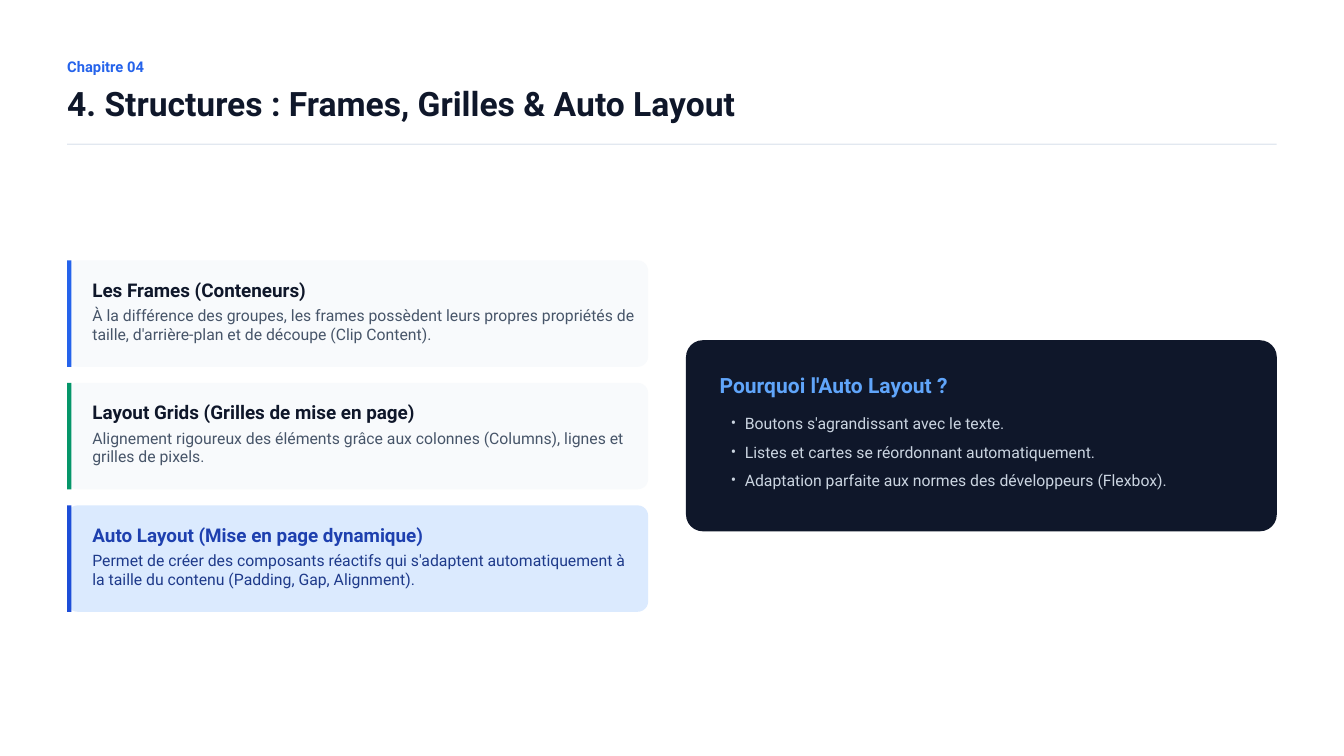
from lxml.etree import SubElement
from pptx import Presentation
from pptx.dml.color import RGBColor
from pptx.enum.shapes import MSO_SHAPE as SHAPE
from pptx.enum.text import MSO_ANCHOR, MSO_AUTO_SIZE, PP_ALIGN
from pptx.oxml.ns import qn
from pptx.util import Pt

PX = 9525  # EMU per px, 96 px to the inch
FONT = "Roboto"

NAVY = RGBColor(0x0F, 0x17, 0x2A)
SLATE = RGBColor(0x47, 0x55, 0x69)
SILVER = RGBColor(0xCB, 0xD5, 0xE1)
RULE = RGBColor(0xE2, 0xE8, 0xF0)
PALE = RGBColor(0xF8, 0xFA, 0xFC)
PALE_BLUE = RGBColor(0xDB, 0xEA, 0xFE)
SKY = RGBColor(0x60, 0xA5, 0xFA)
BLUE = RGBColor(0x25, 0x63, 0xEB)
STRONG_BLUE = RGBColor(0x1D, 0x4E, 0xD8)
DEEP_BLUE = RGBColor(0x1E, 0x40, 0xAF)
DARK_BLUE = RGBColor(0x1E, 0x3A, 0x8A)
GREEN = RGBColor(0x05, 0x96, 0x69)

CHAPTER = "Chapitre 04"
TITLE = "4. Structures : Frames, Grilles & Auto Layout"
# heading, text, bar colour, card colour, heading colour, text colour
CARDS = [
    ("Les Frames (Conteneurs)",
     "À la différence des groupes, les frames possèdent leurs propres propriétés "
     "de taille, d'arrière-plan et de découpe (Clip Content).",
     BLUE, PALE, NAVY, SLATE),
    ("Layout Grids (Grilles de mise en page)",
     "Alignement rigoureux des éléments grâce aux colonnes (Columns), lignes et "
     "grilles de pixels.",
     GREEN, PALE, NAVY, SLATE),
    ("Auto Layout (Mise en page dynamique)",
     "Permet de créer des composants réactifs qui s'adaptent automatiquement à "
     "la taille du contenu (Padding, Gap, Alignment).",
     STRONG_BLUE, PALE_BLUE, DEEP_BLUE, DARK_BLUE),
]
PANEL_TITLE = "Pourquoi l'Auto Layout ?"
REASONS = [
    "Boutons s'agrandissant avec le texte.",
    "Listes et cartes se réordonnant automatiquement.",
    "Adaptation parfaite aux normes des développeurs (Flexbox).",
]

LEFT, WIDTH = 96, 1728
CARD_TOP, CARD_W, CARD_H, CARD_GAP = 372, 830, 152, 23
CARD_RADIUS, BAR_W = 15, 6
PANEL_X, PANEL_Y, PANEL_W, PANEL_H, PANEL_RADIUS = 980, 486, 844, 273, 24
PANEL_PAD, BULLET_INDENT = 48, 20


def add_block(x, y, w, h, color, radius=0):
    kind = SHAPE.ROUNDED_RECTANGLE if radius else SHAPE.RECTANGLE
    s = slide.shapes.add_shape(kind, x * PX, y * PX, w * PX, h * PX)
    if radius:
        s.adjustments[0] = radius / min(w, h)
    s.shadow.inherit = False
    s.fill.solid()
    s.fill.fore_color.rgb = color
    s.line.fill.background()


def write(s, box, lines, size, leading, color, bold=False, bullets=False):
    """Place a text shape and fill it with one paragraph per line."""
    s.left, s.top, s.width, s.height = (v * PX for v in box)
    tf = s.text_frame
    tf.text = "\n".join(lines)
    tf.word_wrap = True
    tf.auto_size = MSO_AUTO_SIZE.NONE
    tf.vertical_anchor = MSO_ANCHOR.TOP
    tf.margin_left = tf.margin_right = tf.margin_top = tf.margin_bottom = 0
    for p in tf.paragraphs:
        p.alignment = PP_ALIGN.LEFT
        p.line_spacing = Pt(leading)
        p.space_before = Pt(0)
        if bullets:
            pPr = p._p.get_or_add_pPr()
            pPr.set("marL", str(BULLET_INDENT * PX))
            pPr.set("indent", str(-BULLET_INDENT * PX))
            SubElement(pPr, qn("a:buFont"), typeface=FONT)
            SubElement(pPr, qn("a:buChar"), char="•")
        for r in p.runs:
            r.font.name = FONT
            r.font.size = Pt(size)
            r.font.bold = bold
            r.font.color.rgb = color


def add_text(box, text, *style):
    write(slide.shapes.add_textbox(0, 0, 0, 0), box, [text], *style)


prs = Presentation()
prs.slide_width, prs.slide_height = 1920 * PX, 1080 * PX
slide = prs.slides.add_slide(prs.slide_layouts[1])
title, body = slide.placeholders

add_text((LEFT, 83, WIDTH, 26), CHAPTER, 15.8, 18.9, BLUE, True)
write(title, (LEFT, 118, WIDTH, 64), [TITLE], 36, 43.2, NAVY, True)
add_block(LEFT, 205, WIDTH, 2, RULE)

for i, (heading, text, bar, fill, heading_color, text_color) in enumerate(CARDS):
    y = CARD_TOP + i * (CARD_H + CARD_GAP)
    add_block(LEFT, y, CARD_W, CARD_H, fill, CARD_RADIUS)
    add_block(LEFT, y, BAR_W, CARD_H, bar)
    add_text((LEFT + 36, y + 26, 780, 35), heading, 20.2, 24.3, heading_color, True)
    add_text((LEFT + 36, y + 65, 780, 59), text, 16.9, 20.2, text_color)

add_block(PANEL_X, PANEL_Y, PANEL_W, PANEL_H, NAVY, PANEL_RADIUS)
x, w = PANEL_X + PANEL_PAD, PANEL_W - 2 * PANEL_PAD
add_text((x, PANEL_Y + 46, w, 39), PANEL_TITLE, 22.5, 27, SKY, True)
write(body, (x + 16, PANEL_Y + 92, w - 16, 122), REASONS, 16.9, 30.4, SILVER,
      bullets=True)
# The placeholders come first in the tree: bring the list above the panel.
slide.shapes._spTree.append(body._element)

prs.save("out.pptx")
